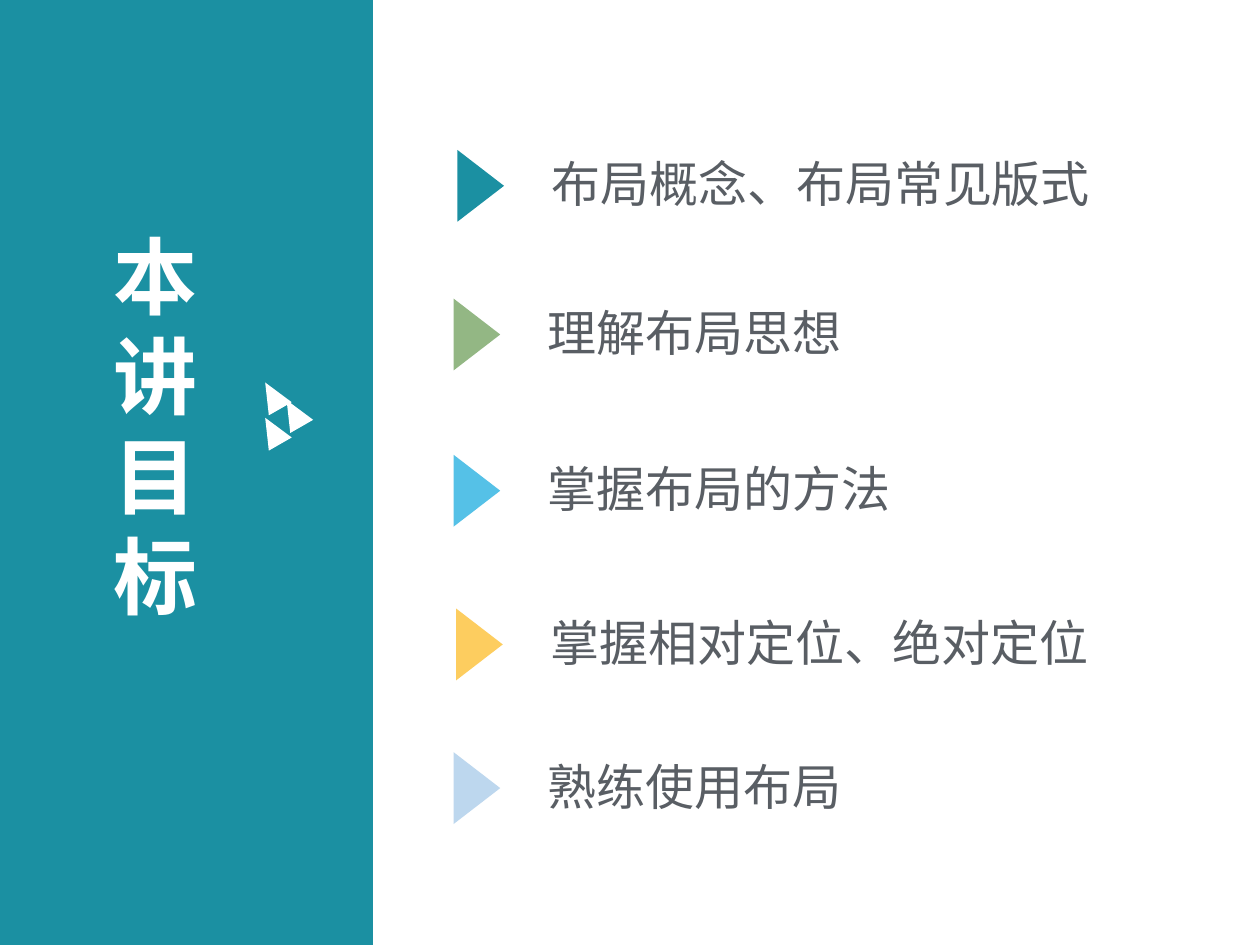
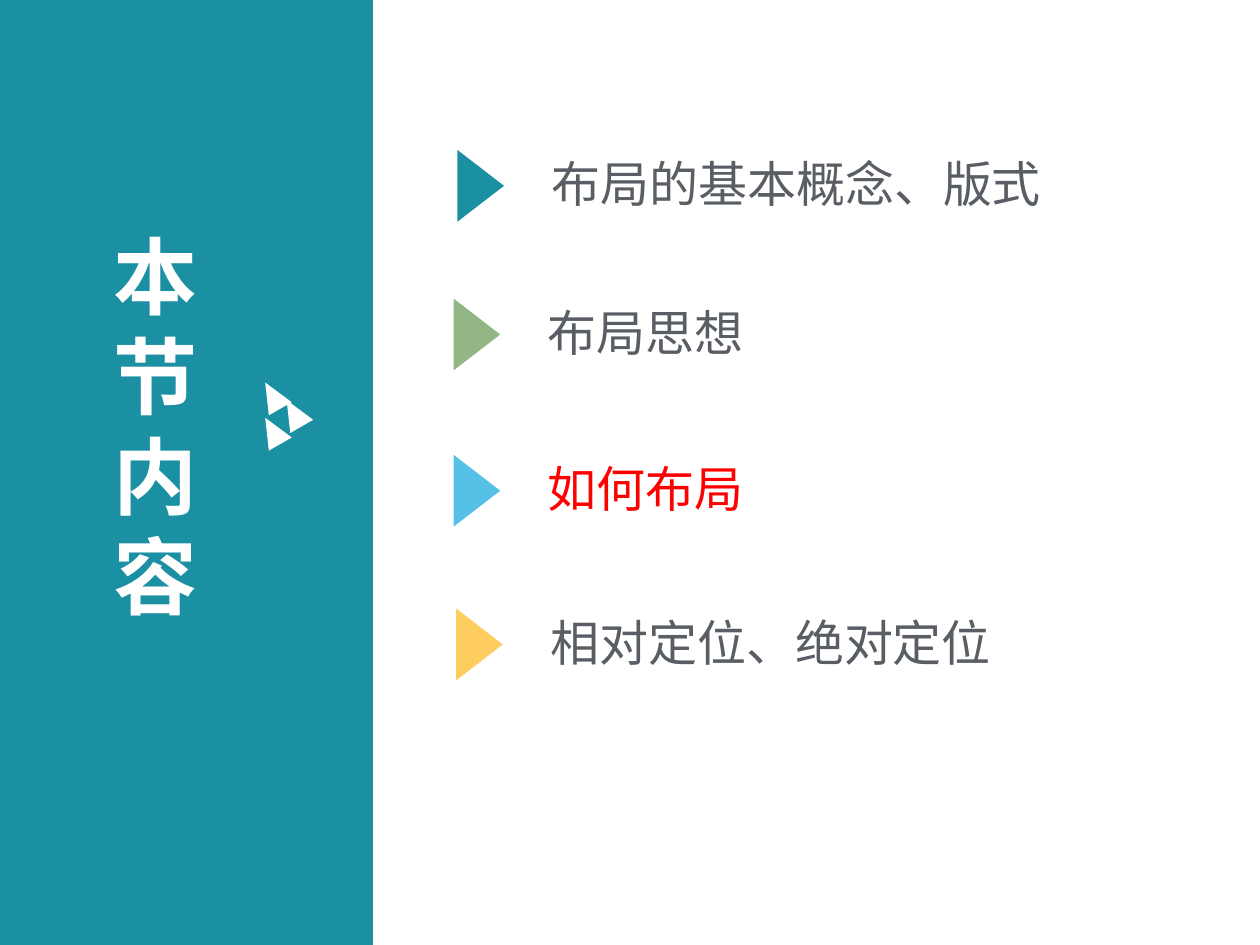
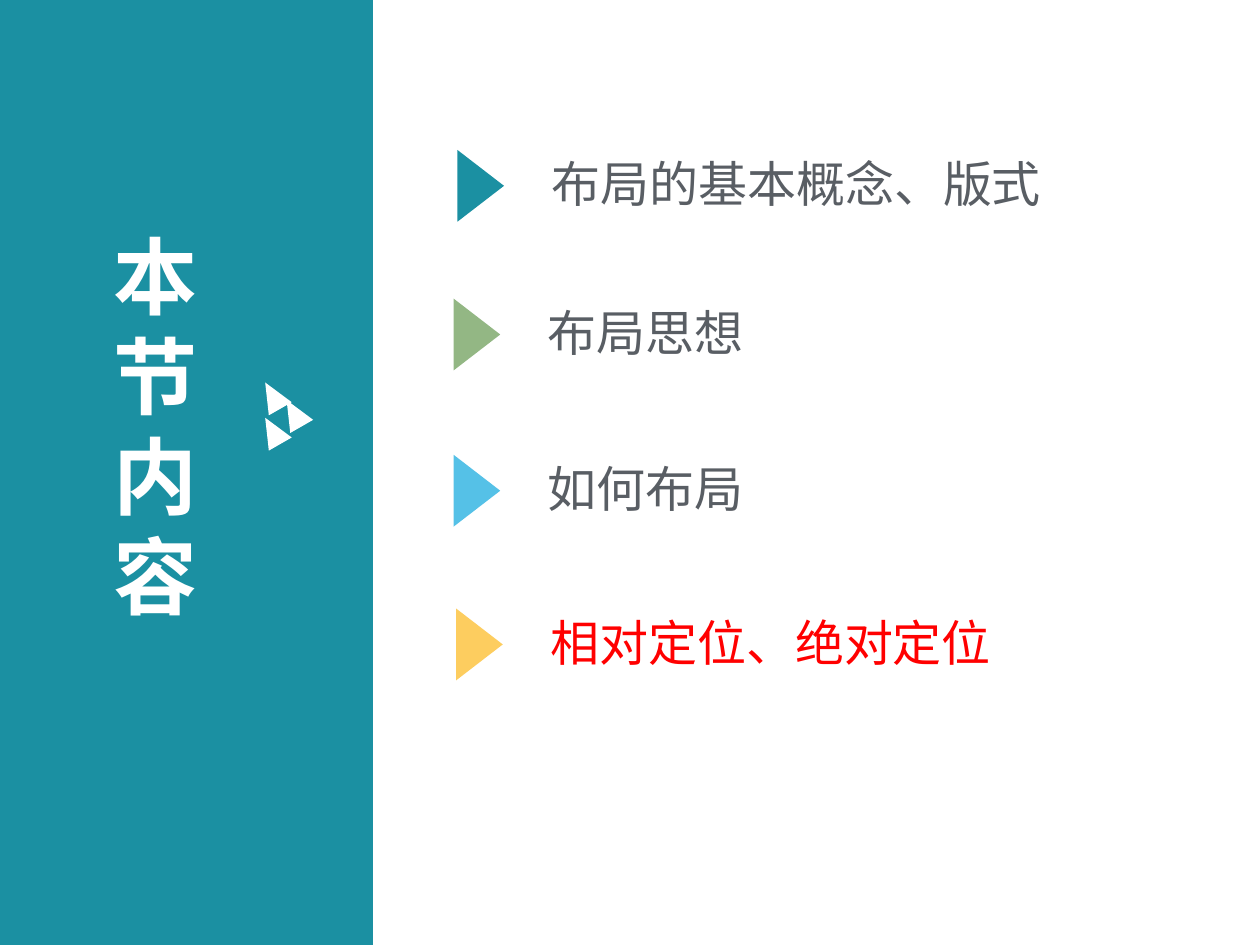
import pptx
import pptx.util
import pptx.dml.color
import pptx.enum.shapes
import pptx.enum.text
import pptx.oxml.ns
import lxml.etree

WIDE, HIGH = pptx.util.Inches(10), pptx.util.Inches(7.5)
COLS, ROWS = 100, 75
FACE = "Noto Sans CJK SC"
TEAL, WHITE, GREY, RED = "1B90A2", "FFFFFF", "595E64", "FF0000"
SPOTS = [
    (42.8, 11.9, TEAL),
    (42.5, 23.7, "93B784"),
    (42.5, 36.1, "55C1E7"),
    (42.7, 48.3, "FDCD5F"),
    (42.5, 59.7, "BDD7EE"),
]
GOALS = [
    ("布局概念、布局常见版式", 54.7),
    ("理解布局思想", 33),
    ("掌握布局的方法", 33),
    ("掌握相对定位、绝对定位", 55.5),
    ("熟练使用布局", 51.8),
]
PARTS = [
    ("布局的基本概念、版式", 48.6),
    ("布局思想", 33),
    ("如何布局", 33),
    ("相对定位、绝对定位", 49.2),
]
MARKS = [(20.6, 30.2), (20.6, 33), (22.3, 31.6)]


def tint(code):
    return pptx.dml.color.RGBColor.from_string(code)


def grid(x, y, w, h):
    return (
        round(WIDE * x / COLS),
        round(HIGH * y / ROWS),
        round(WIDE * w / COLS),
        round(HIGH * h / ROWS),
    )


def write(shape, text, size=28, color=GREY, bold=False, pitch=None):
    frame = shape.text_frame
    frame.text = text
    frame.word_wrap = True
    frame.auto_size = pptx.enum.text.MSO_AUTO_SIZE.NONE
    frame.vertical_anchor = pptx.enum.text.MSO_ANCHOR.MIDDLE
    frame.margin_top = frame.margin_bottom = 0
    line = frame.paragraphs[0]
    line.alignment = pptx.enum.text.PP_ALIGN.LEFT
    if pitch:
        line.line_spacing = pptx.util.Pt(pitch)
    font = line.runs[0].font
    font.size = pptx.util.Pt(size)
    font.bold = bold
    font.name = FACE
    font.color.rgb = tint(color)
    props = line.runs[0]._r.get_or_add_rPr()
    east = lxml.etree.SubElement(props, pptx.oxml.ns.qn("a:ea"))
    east.set("typeface", FACE)


def block(shapes, kind, place, color, turn=0):
    shape = shapes.add_shape(kind, *grid(*place))
    shape.shadow.inherit = False
    shape.fill.solid()
    shape.fill.fore_color.rgb = tint(color)
    shape.line.fill.background()
    shape.rotation = turn
    return shape


def wedge(shapes, place, color, turn):
    kind = pptx.enum.shapes.MSO_SHAPE.ISOSCELES_TRIANGLE
    return block(shapes, kind, place, color, turn)


def panel(slide, title):
    kind = pptx.enum.shapes.MSO_SHAPE.RECTANGLE
    band = block(slide.shapes, kind, (0, 0, 29.6, ROWS), TEAL)
    slide.shapes.element.insert(2, band.element)
    head = slide.shapes.title
    head.left, head.top, head.width, head.height = grid(8, 17.1, 13.1, 33.3)
    write(head, title, size=48, color=WHITE, bold=True, pitch=57.3)
    group = slide.shapes.add_group_shape()
    for x, y in MARKS:
        wedge(group.shapes, (x, y, 2.1, 2.4), WHITE, 330.2)


def item(slide, spot, text, width, color):
    x, y, fill = spot
    wedge(slide.shapes, (x - 7.5, y + 1, 5.7, 3.7), fill, 90)
    box = slide.shapes.add_textbox(*grid(x, y - 0.2, width, 5.7))
    write(box, text, color=color)


def page(deck, title, items, hot=None):
    slide = deck.slides.add_slide(deck.slide_layouts[5])
    panel(slide, title)
    for rank, (spot, (text, width)) in enumerate(zip(SPOTS, items)):
        item(slide, spot, text, width, RED if rank == hot else GREY)


def main():
    deck = pptx.Presentation()
    deck.slide_width, deck.slide_height = WIDE, HIGH
    page(deck, "本讲目标", GOALS)
    page(deck, "本节内容", PARTS, hot=2)
    page(deck, "本节内容", PARTS, hot=3)
    deck.save("out.pptx")


if __name__ == "__main__":
    main()
